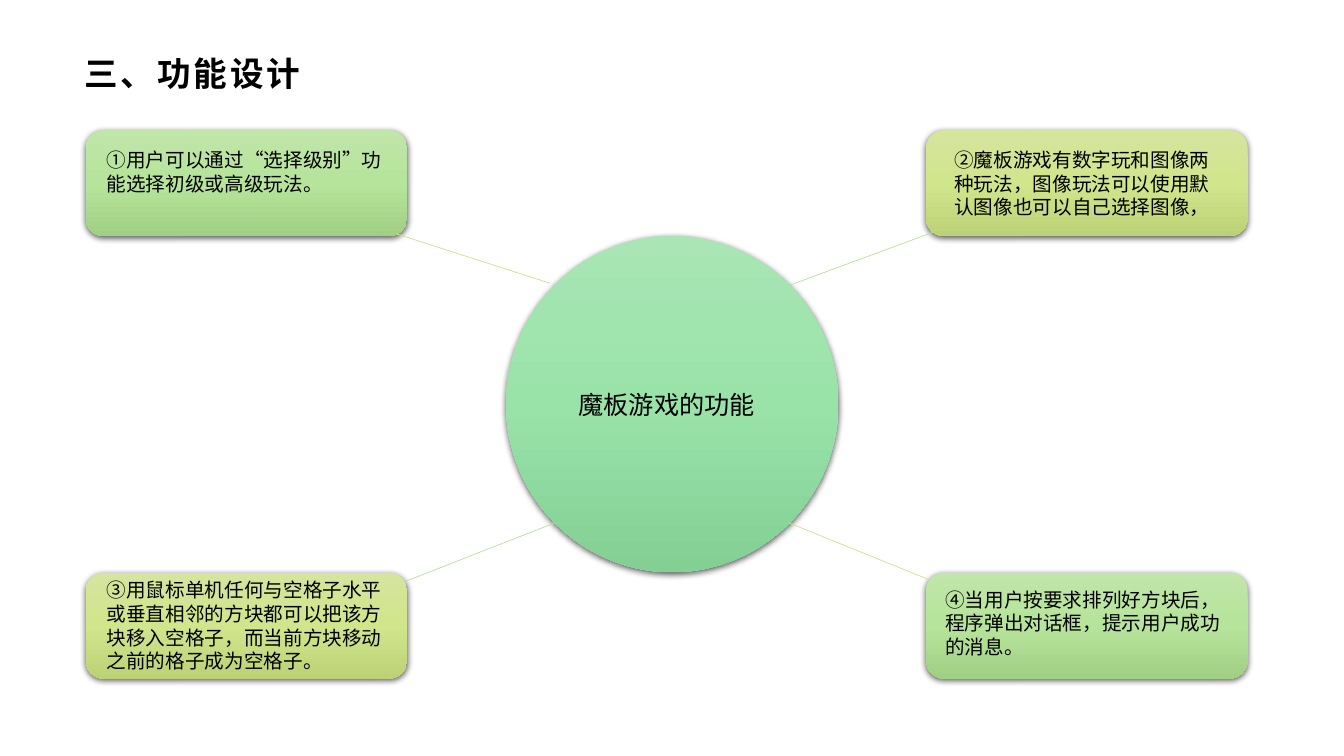
from lxml import etree
from pptx import Presentation
from pptx.dml.color import RGBColor
from pptx.enum.shapes import MSO_CONNECTOR, MSO_SHAPE
from pptx.enum.text import MSO_ANCHOR, PP_ALIGN
from pptx.oxml import parse_xml
from pptx.oxml.ns import nsdecls, qn
from pptx.util import Cm, Pt

OVAL, ROUNDED = MSO_SHAPE.OVAL, MSO_SHAPE.ROUNDED_RECTANGLE
STRAIGHT = MSO_CONNECTOR.STRAIGHT
LEFT, MIDDLE, TOP = PP_ALIGN.LEFT, MSO_ANCHOR.MIDDLE, MSO_ANCHOR.TOP

MINT = ("A9E5B5", "99E3A9", "83CF94")
GREEN = ("C0E6A9", "B6E49A", "A1CF84")
LIME = ("D5E59E", "D1E58C", "BDD177")
GREEN_LINE, LIME_LINE = "B7E19D", "CFE190"


def rgb(hex_color):
    return RGBColor.from_string(hex_color)


class SlideBuilder:
    font = "Arial"
    text_color = "000000"

    def __init__(self, prs):
        self.slide = prs.slides.add_slide(prs.slide_layouts[5])

    def fill_text(self, tf, text, size, bold=False):
        tf.word_wrap = True
        p = tf.paragraphs[0]
        p.alignment = LEFT
        p.font.name, p.font.size, p.font.bold = self.font, Pt(size), bold
        p.font.color.rgb = rgb(self.text_color)
        r = p.add_run()
        r.text = text
        return r

    def title(self, text, x, y, w, h):
        sp = self.slide.shapes.title
        sp.left, sp.top, sp.width, sp.height = Cm(x), Cm(y), Cm(w), Cm(h)
        sp.fill.solid()
        sp.fill.fore_color.rgb = rgb("FFFFFF")
        tf = sp.text_frame
        tf.vertical_anchor = MIDDLE
        tf.margin_left, tf.margin_right = Cm(0.28), Cm(0.2)
        tf.margin_top = tf.margin_bottom = Cm(0.1)
        r = self.fill_text(tf, text, 24, bold=True)
        # Letter spacing of 2 pt
        r._r.get_or_add_rPr().set("spc", "200")

    def shape(self, kind, x, y, w, h, colors):
        sp = self.slide.shapes.add_shape(kind, Cm(x), Cm(y), Cm(w), Cm(h))
        sp.line.fill.background()
        # Three-stop vertical gradient
        sp.fill.gradient()
        sp.fill.gradient_angle = 270
        stops = sp._element.spPr.find(qn("a:gradFill")).find(qn("a:gsLst"))
        for stop in list(stops):
            stops.remove(stop)
        for pos, color in zip((0, 50000, 100000), colors):
            stop = etree.SubElement(stops, qn("a:gs"), pos=str(pos))
            etree.SubElement(stop, qn("a:srgbClr"), val=color)
        # Soft shadow below
        sp._element.spPr.append(parse_xml(
            f'<a:effectLst {nsdecls("a")}>'
            '<a:outerShdw blurRad="57150" dist="19050" dir="5400000" '
            'algn="ctr" rotWithShape="0"><a:srgbClr val="000000">'
            '<a:alpha val="63000"/></a:srgbClr></a:outerShdw></a:effectLst>'))

    def text(self, text, x, y, w, h, size):
        sp = self.slide.shapes.add_textbox(Cm(x), Cm(y), Cm(w), Cm(h))
        sp.text_frame.vertical_anchor = TOP
        self.fill_text(sp.text_frame, text, size)

    def line(self, x1, y1, x2, y2, color):
        cn = self.slide.shapes.add_connector(
            STRAIGHT, Cm(x1), Cm(y1), Cm(x2), Cm(y2))
        cn.line.color.rgb = rgb(color)
        cn.line.width = Pt(0.5)
        etree.SubElement(cn._element.spPr, qn("a:effectLst"))


def main():
    prs = Presentation()
    prs.slide_width, prs.slide_height = Cm(33.87), Cm(19.05)
    s = SlideBuilder(prs)
    s.title("三、功能设计", 1.85, 1.22, 30.15, 1.22)

    # Central topic
    s.shape(OVAL, 12.75, 5.94, 8.38, 8.48, MINT)
    s.text("魔板游戏的功能", 14.33, 9.68, 5.23, 1.02, 18)

    # Feature cards: corner, colours, text, text position, connector
    left, right, top, bottom = 2.16, 23.34, 3.28, 14.43
    features = [
        (left, top, GREEN, "①用户可以通过“选择级别”功能选择初级或高级玩法。",
         (2.44, 3.61, 7.54, 1.44), (9.98, 5.89, 13.87, 7.14, LIME_LINE)),
        (right, top, LIME,
         "②魔板游戏有数字玩和图像两种玩法，图像玩法可以使用默认图像也可以自己选择图像，",
         (23.8, 3.61, 7.21, 2.06), (19.89, 7.19, 23.55, 5.84, GREEN_LINE)),
        (left, bottom, LIME,
         "③用鼠标单机任何与空格子水平或垂直相邻的方块都可以把该方块移入空格子，"
         "而当前方块移动之前的格子成为空格子。",
         (2.44, 14.45, 7.49, 2.64), (13.97, 13.18, 10.19, 14.66, GREEN_LINE)),
        (right, bottom, GREEN,
         "④当用户按要求排列好方块后，程序弹出对话框，提示用户成功的消息。",
         (23.57, 14.68, 7.65, 2.06), (19.89, 13.18, 23.47, 14.63, LIME_LINE)),
    ]
    for x, y, colors, text, text_box, connector in features:
        s.shape(ROUNDED, x, y, 8.1, 2.67, colors)
        s.text(text, *text_box, 14)
        s.line(*connector)

    prs.save("out.pptx")


if __name__ == "__main__":
    main()
